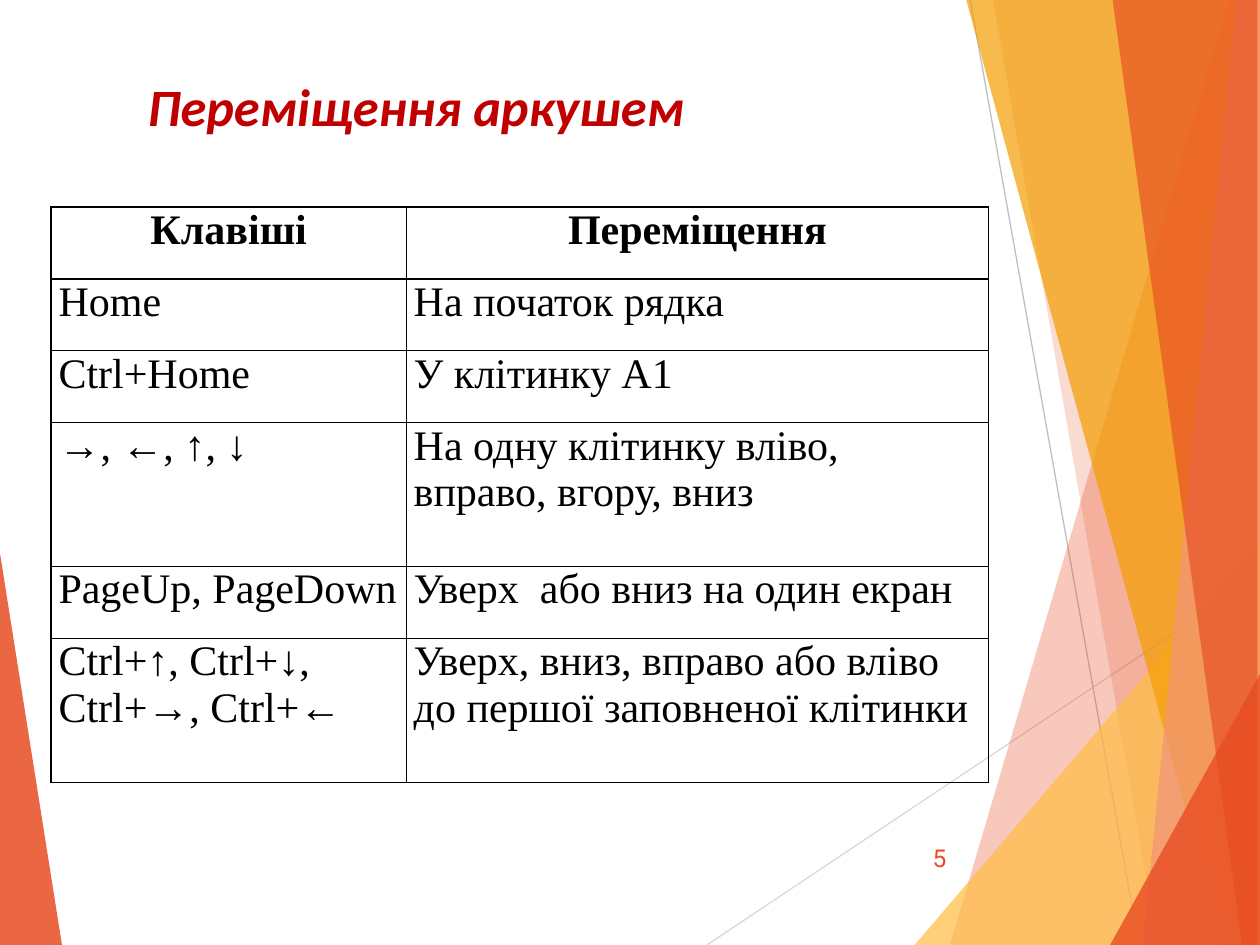
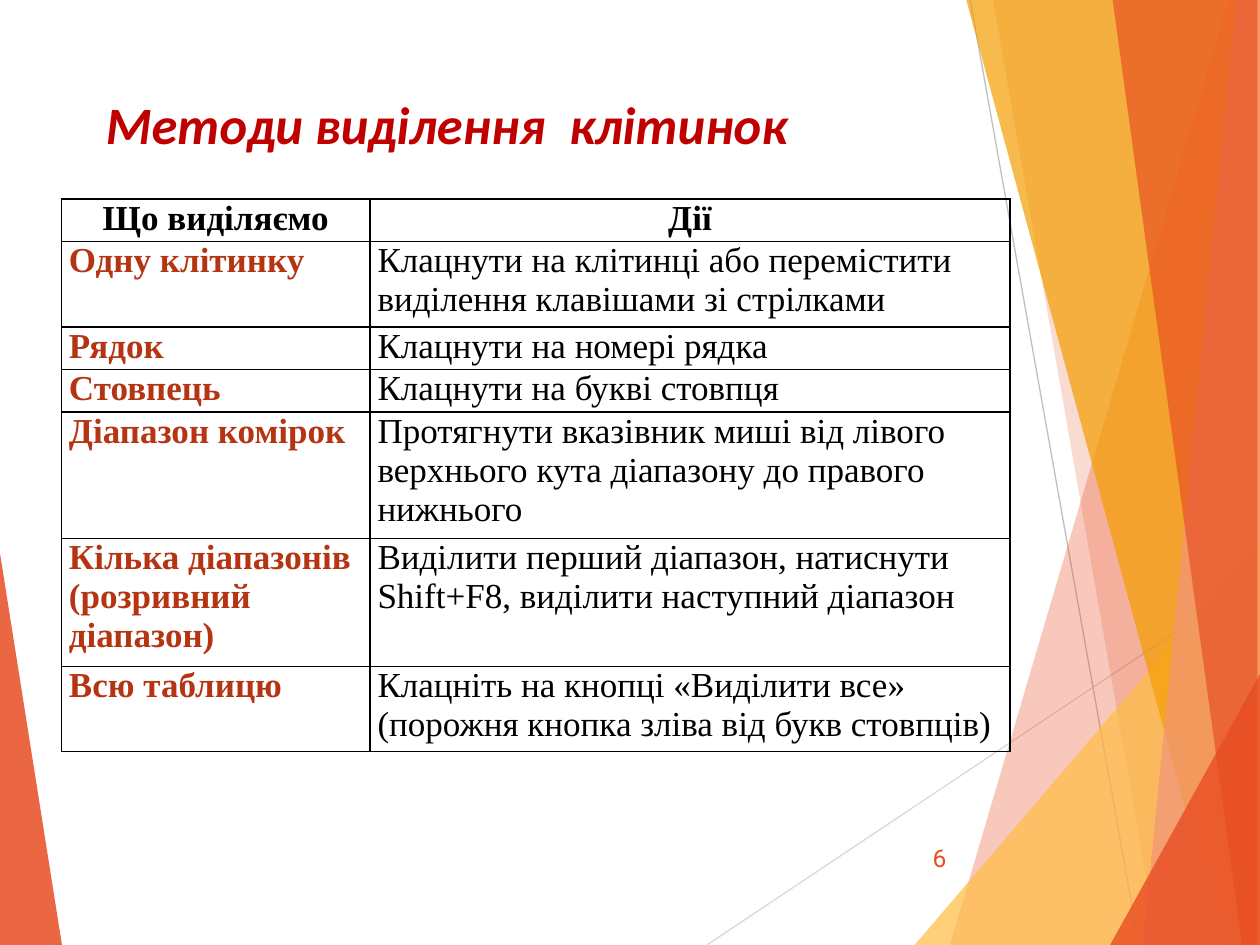
from lxml.etree import SubElement
from pptx import Presentation
from pptx.dml.color import RGBColor
from pptx.enum.shapes import MSO_CONNECTOR
from pptx.enum.text import MSO_ANCHOR, MSO_AUTO_SIZE, PP_ALIGN
from pptx.oxml.ns import qn
from pptx.util import Cm, Pt

WIDTH, HEIGHT = 25.4, 19.05

BLACK = RGBColor(0x00, 0x00, 0x00)
CRIMSON = RGBColor(0xC0, 0x00, 0x00)
RUST = RGBColor(0xB5, 0x35, 0x13)
ORANGE = RGBColor(0xE8, 0x4C, 0x22)
SALMON = RGBColor(0xF1, 0x94, 0x7A)
AMBER = RGBColor(0xF4, 0x9D, 0x00)
YELLOW = RGBColor(0xFF, 0xBD, 0x47)
SILVER = RGBColor(0xBF, 0xBF, 0xBF)
PALE_GREY = RGBColor(0xD9, 0xD9, 0xD9)

TITLE = {"name": "Calibri", "size": Pt(30), "bold": True, "italic": True}
NUMBER = {"name": "Roboto", "size": Pt(14)}

LEFT_PANE = ((0, 11.15), 1.25, 0, ORANGE, 85)
RIGHT_PANES = [
    ((24.77, 0), 19.15, WIDTH, ORANGE, 30),
    ((20.02, 0), 23.34, WIDTH, ORANGE, 20),
    ((WIDTH, 10.9), 18.44, WIDTH, YELLOW, 72),
    ((19.48, 0), 24.64, WIDTH, AMBER, 70),
    ((24.92, 0), 23.04, WIDTH, SALMON, 70),
    ((22.43, 0), 25.04, WIDTH - 0.05, ORANGE, 65),
    ((WIDTH, 13.59), 22.38, WIDTH, ORANGE, 80),
]
RAYS = [
    ((14.25, HEIGHT), (WIDTH, 11.61), PALE_GREY),
    ((19.56, 0), (22.96, HEIGHT), SILVER),
]

MOVE_ROWS = [
    ("Клавіші", "Переміщення"),
    ("Home", "На початок рядка"),
    ("Ctrl+Home", "У клітинку А1"),
    ("→, ←, ↑, ↓", "На одну клітинку вліво, вправо, вгору, вниз"),
    ("PageUp, PageDown", "Уверх  або вниз на один екран"),
    ("Ctrl+↑, Ctrl+↓, Ctrl+→, Ctrl+←",
     "Уверх, вниз, вправо або вліво до першої заповненої клітинки"),
]
SELECT_ROWS = [
    ("Що виділяємо", "Дії"),
    ("Одну клітинку",
     "Клацнути на клітинці або перемістити виділення клавішами зі стрілками"),
    ("Рядок", "Клацнути на номері рядка"),
    ("Стовпець", "Клацнути на букві стовпця"),
    ("Діапазон комірок",
     "Протягнути вказівник миші від лівого верхнього кута діапазону до правого нижнього"),
    ("Кілька діапазонів (розривний діапазон)",
     "Виділити перший діапазон, натиснути Shift+F8, виділити наступний діапазон"),
    ("Всю таблицю",
     "Клацніть на кнопці «Виділити все» (порожня кнопка зліва від букв стовпців)"),
]


def set_all(target, values):
    for name, value in values.items():
        setattr(target, name, value)


class SlideBuilder:
    def __init__(self, deck):
        self.deck = deck
        self.page = None

    def start(self, number):
        self.page = self.deck.slides.add_slide(self.deck.slide_layouts[5])
        self.pane(*LEFT_PANE)
        for ray in RAYS:
            self.ray(*ray)
        for pane in RIGHT_PANES:
            self.pane(*pane)
        self.number(number)

    def pane(self, top, bottom_x, edge, color, opacity):
        corners = [top, (bottom_x, HEIGHT), (edge, HEIGHT), (edge, top[1])]
        points = [(Cm(x), Cm(y)) for x, y in corners]
        builder = self.page.shapes.build_freeform(*points[0])
        builder.add_line_segments(points[1:])
        shape = builder.convert_to_shape()
        shape.shadow.inherit = False
        shape.fill.solid()
        shape.fill.fore_color.rgb = color
        shape.line.fill.background()
        tint = shape.element.spPr.find(".//" + qn("a:srgbClr"))
        SubElement(tint, qn("a:alpha"), val=str(opacity * 1000))

    def ray(self, begin, end, color):
        ends = [Cm(value) for value in begin + end]
        line = self.page.shapes.add_connector(MSO_CONNECTOR.STRAIGHT, *ends)
        line.line.color.rgb = color
        line.line.width = Pt(0.75)
        SubElement(line.element.spPr, qn("a:effectLst"))

    def add_text(self, frame, text, style, color, align=PP_ALIGN.LEFT):
        para = frame.paragraphs[0]
        para.alignment = align
        span = para.add_run()
        span.text = text
        set_all(span.font, style)
        span.font.color.rgb = color

    def title(self, text, left, top, width):
        box = self.page.shapes.title
        set_all(box, {"left": Cm(left), "top": Cm(top),
                      "width": Cm(width), "height": Cm(1.5)})
        set_all(box.text_frame, {"word_wrap": True,
                                 "auto_size": MSO_AUTO_SIZE.NONE,
                                 "vertical_anchor": MSO_ANCHOR.MIDDLE})
        self.add_text(box.text_frame, text, TITLE, CRIMSON)

    def number(self, value):
        box = self.page.shapes.add_textbox(Cm(17.91), Cm(16.79), Cm(1.42), Cm(1.02))
        set_all(box.text_frame, {"word_wrap": True,
                                 "vertical_anchor": MSO_ANCHOR.MIDDLE})
        self.add_text(box.text_frame, str(value), NUMBER, ORANGE, PP_ALIGN.RIGHT)

    def table(self, rows, left, top, widths, unit, spans, size, key_style):
        frame = self.page.shapes.add_table(
            len(rows), len(widths), Cm(left), Cm(top),
            Cm(sum(widths)), Cm(unit * sum(spans)))
        table = frame.table
        set_all(table, {"first_row": False, "horz_banding": False})
        for column, width in zip(table.columns, widths):
            column.width = Cm(width)
        for row, span in zip(table.rows, spans):
            row.height = Cm(unit * span)
        for r, texts in enumerate(rows):
            for c, text in enumerate(texts):
                bold, color, align = False, BLACK, PP_ALIGN.LEFT
                if r == 0:
                    bold, align = True, PP_ALIGN.CENTER
                elif c == 0:
                    bold, color = key_style
                style = {"name": "Times New Roman", "size": Pt(size), "bold": bold}
                cell = table.cell(r, c)
                self.frame_cell(cell)
                self.add_text(cell.text_frame, text, style, color, align)

    def frame_cell(self, cell):
        set_all(cell, {"margin_left": Cm(0.15), "margin_right": Cm(0.15),
                       "margin_top": 0, "margin_bottom": 0})
        properties = cell._tc.get_or_add_tcPr()
        for side in ("lnL", "lnR", "lnT", "lnB"):
            border = SubElement(properties, qn("a:" + side), w=str(Pt(1)))
            fill = SubElement(border, qn("a:solidFill"))
            SubElement(fill, qn("a:srgbClr"), val=str(BLACK))
        cell.fill.background()


def main():
    deck = Presentation()
    deck.slide_width, deck.slide_height = Cm(WIDTH), Cm(HEIGHT)
    builder = SlideBuilder(deck)

    builder.start(5)
    builder.title("Переміщення аркушем", 2.72, 1.37, 12)
    builder.table(MOVE_ROWS, 1.03, 4.17, (7.16, 11.74), 1.45,
                  (1, 1, 1, 2, 1, 2), 24, (False, BLACK))

    builder.start(6)
    builder.title("Методи виділення  клітинок", 1.88, 1.73, 17.5)
    builder.table(SELECT_ROWS, 1.24, 4.01, (6.22, 12.9), 0.86,
                  (1, 2, 1, 1, 2, 3, 2), 20, (True, RUST))

    deck.save("out.pptx")


if __name__ == "__main__":
    main()
